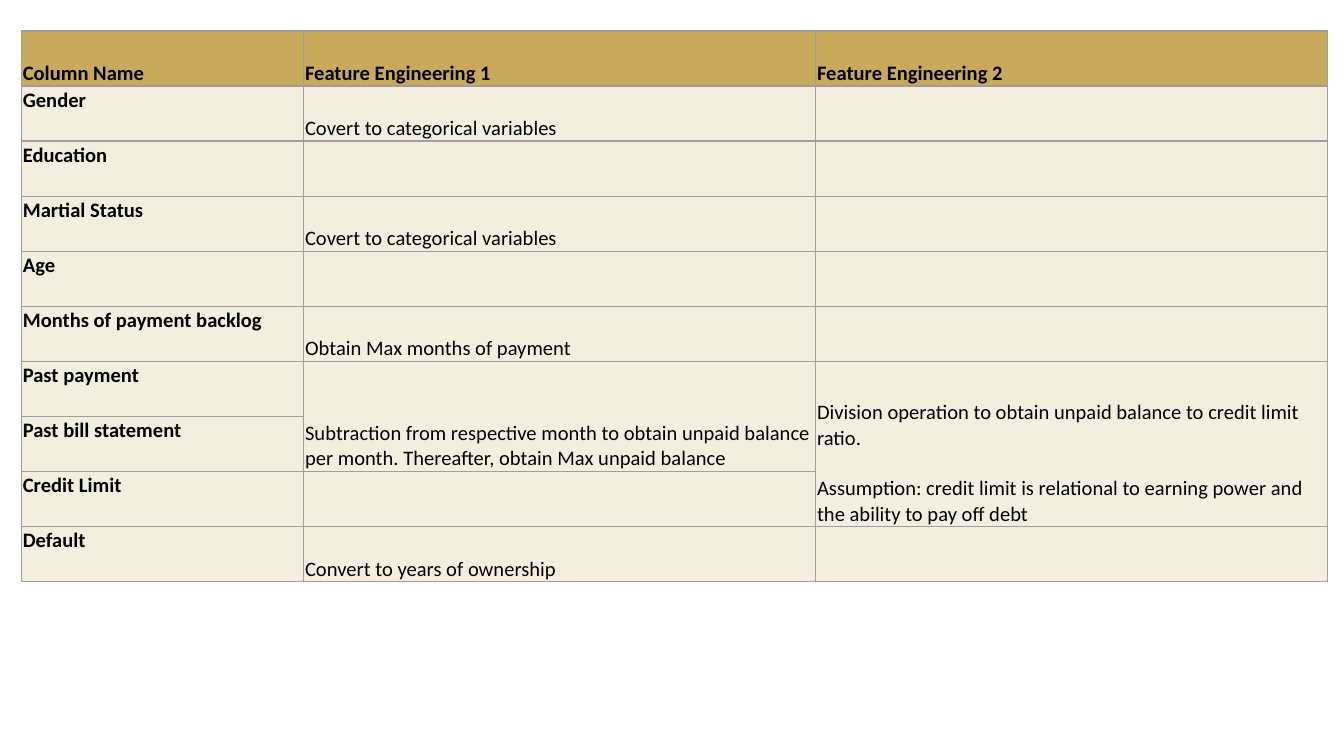
from dataclasses import dataclass

from lxml import etree
from pptx import Presentation
from pptx.dml.color import RGBColor
from pptx.enum.text import MSO_ANCHOR
from pptx.oxml.ns import qn
from pptx.util import Inches, Pt

TOP, BOTTOM = MSO_ANCHOR.TOP, MSO_ANCHOR.BOTTOM


@dataclass(frozen=True)
class Theme:
    font: str = "Calibri"
    size: float = 11
    gap: float = 13.4
    ink: str = "000000"
    head: str = "C9A95E"
    body: str = "F4EEDF"
    rule: str = "9E9E9E"
    width: float = 0.75


THEME = Theme()
WIDTH = 10
HEIGHT = WIDTH * 9 / 16
CONVERT = "Covert to categorical variables"
ROWS = [
    ("Column Name", "Feature Engineering 1", "Feature Engineering 2"),
    ("Gender", CONVERT, ""),
    ("Education", "", ""),
    ("Martial Status", CONVERT, ""),
    ("Age", "", ""),
    ("Months of payment backlog", "Obtain Max months of payment", ""),
    ("Past payment",
     "Subtraction from respective month to obtain unpaid balance per month. "
     "Thereafter, obtain Max unpaid balance",
     "Division operation to obtain unpaid balance to credit limit ratio.\n"
     "Assumption: credit limit is relational to earning power and the ability "
     "to pay off debt"),
    ("Past bill statement", "", ""),
    ("Credit Limit", "", ""),
    ("Default", "Convert to years of ownership", ""),
]
# First row, last row and column of each merged block
SPANS = [(6, 7, 1), (6, 8, 2)]
SHARES = [2.1, 3.81, 3.81]


def set_edges(cell):
    props = cell._tc.get_or_add_tcPr()
    for side in ("a:lnL", "a:lnR", "a:lnT", "a:lnB"):
        line = etree.SubElement(props, qn(side), w=str(Pt(THEME.width)))
        fill = etree.SubElement(line, qn("a:solidFill"))
        etree.SubElement(fill, qn("a:srgbClr"), val=THEME.rule)


def style_cell(cell, color, anchor):
    set_edges(cell)
    cell.fill.solid()
    cell.fill.fore_color.rgb = RGBColor.from_string(color)
    cell.vertical_anchor = anchor
    cell.margin_left = cell.margin_right = cell.margin_top = Inches(0.01)
    cell.margin_bottom = 0


def set_text(cell, text, bold):
    cell.text_frame.text = text
    for i, para in enumerate(cell.text_frame.paragraphs):
        if i:
            para.space_before = Pt(THEME.gap)
        for run in para.runs:
            font = run.font
            font.name, font.size, font.bold = THEME.font, Pt(THEME.size), bold
            font.color.rgb = RGBColor.from_string(THEME.ink)


def add_grid(slide, left, top, width, height):
    """Fill the box with the table of feature steps."""
    frame = slide.shapes.add_table(
        len(ROWS), len(SHARES), Inches(left), Inches(top),
        Inches(width), Inches(height))
    table = frame.table
    for col, share in zip(table.columns, SHARES):
        col.width = Inches(width * share / sum(SHARES))
    for row in table.rows:
        row.height = Inches(height / len(ROWS))
    for r, texts in enumerate(ROWS):
        for c, text in enumerate(texts):
            head, label = r == 0, c == 0
            cell = table.cell(r, c)
            style_cell(cell, THEME.head if head else THEME.body,
                       TOP if label and not head else BOTTOM)
            if text:
                set_text(cell, text, head or label)
    for first, last, c in SPANS:
        table.cell(first, c).merge(table.cell(last, c))


def main():
    deck = Presentation()
    deck.slide_width, deck.slide_height = Inches(WIDTH), Inches(HEIGHT)
    slide = deck.slides.add_slide(deck.slide_layouts[6])
    add_grid(slide, 0.16, 0.23, 9.72, 4.1)
    deck.save("out.pptx")


if __name__ == "__main__":
    main()
